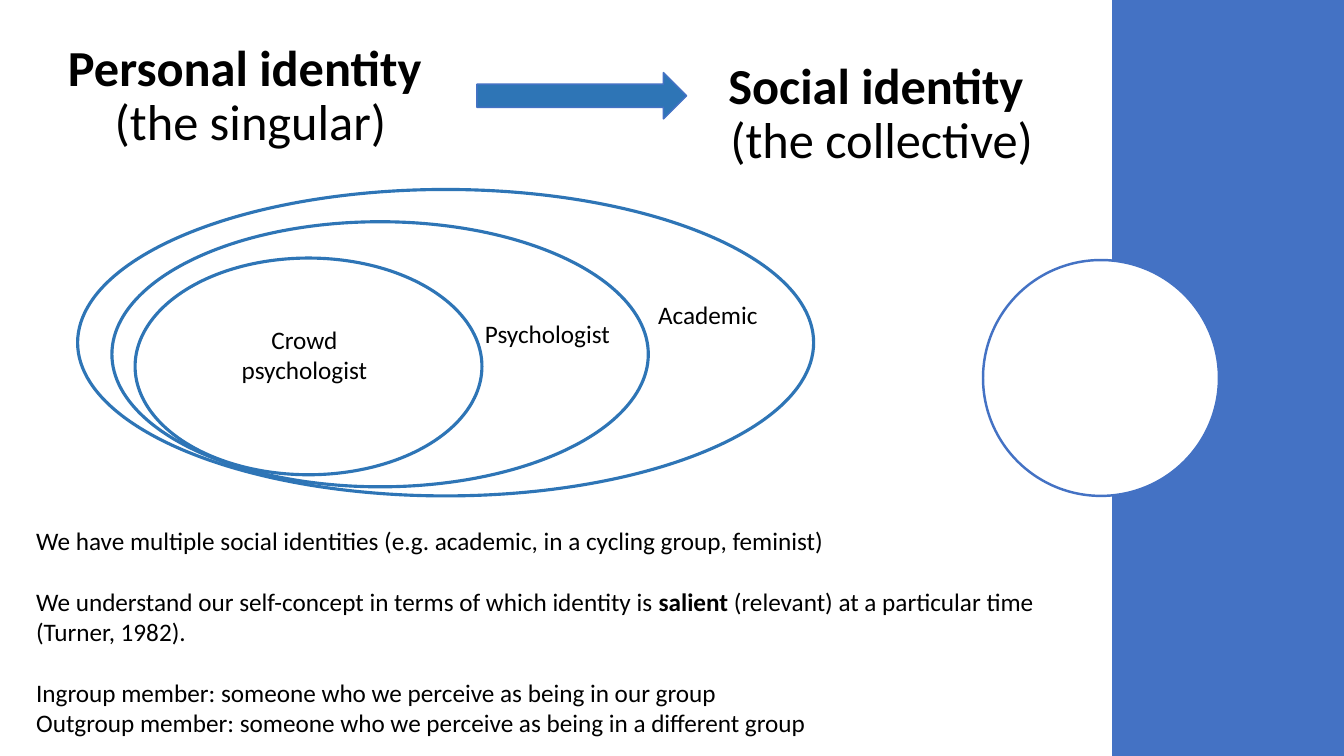
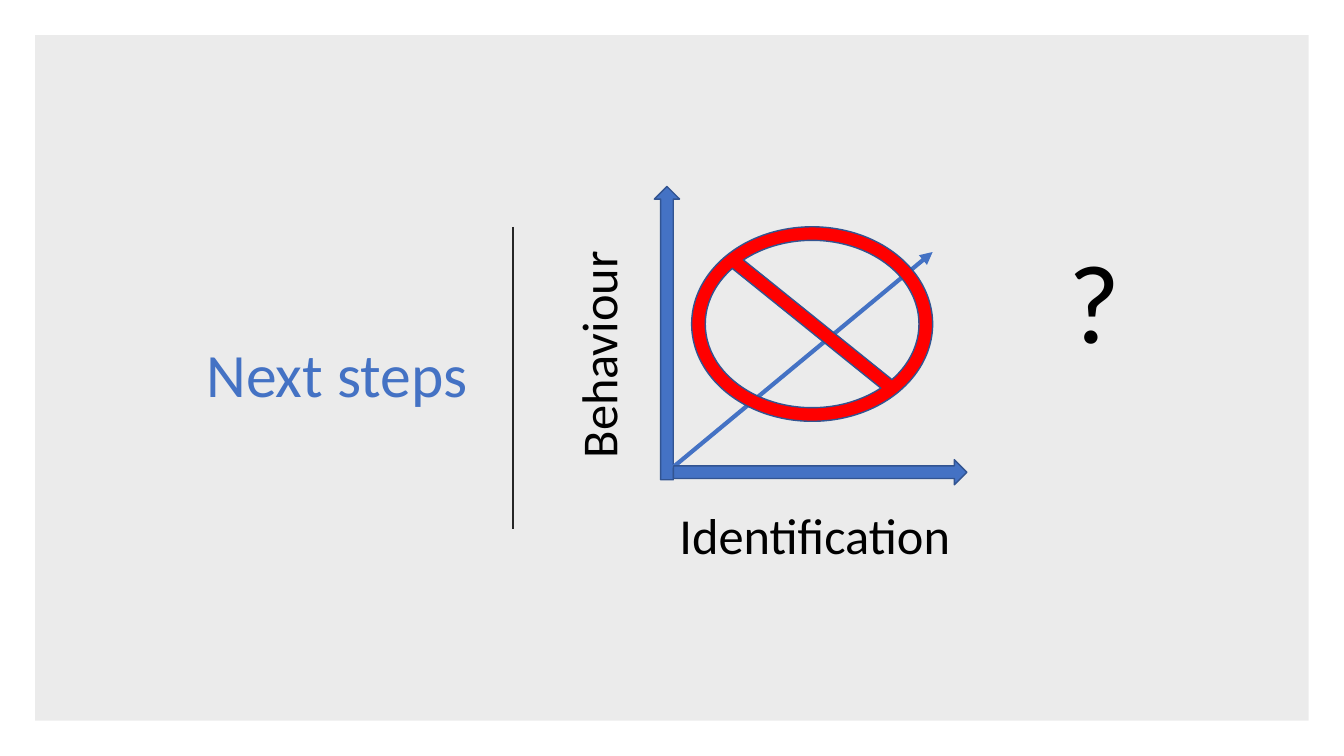
from lxml import etree
from pptx import Presentation
from pptx.dml.color import RGBColor
from pptx.enum.shapes import MSO_CONNECTOR, MSO_SHAPE
from pptx.enum.text import MSO_ANCHOR, MSO_AUTO_SIZE, PP_ALIGN
from pptx.oxml.ns import qn
from pptx.util import Inches, Pt

RECT, OVAL = MSO_SHAPE.RECTANGLE, MSO_SHAPE.OVAL
RIGHT_ARROW, UP_ARROW = MSO_SHAPE.RIGHT_ARROW, MSO_SHAPE.UP_ARROW
NO_SYMBOL = MSO_SHAPE.NO_SYMBOL
STRAIGHT = MSO_CONNECTOR.STRAIGHT
LEFT, CENTER, RIGHT = PP_ALIGN.LEFT, PP_ALIGN.CENTER, PP_ALIGN.RIGHT
TOP, MIDDLE = MSO_ANCHOR.TOP, MSO_ANCHOR.MIDDLE
NO_FIT = MSO_AUTO_SIZE.NONE

FONT = "Calibri"
BLACK, WHITE, RED = "000000", "FFFFFF", "FF0000"
BLUE, DEEP_BLUE, EDGE_BLUE, RULE_GRAY = "4472C4", "2E75B6", "325491", "262626"
SLIDE_W, SLIDE_H = 13.33, 7.5
TITLE_SPACING = 0.9


def rgb(color):
    return RGBColor.from_string(color)


def inches(box):
    return [Inches(v) for v in box]


# Shared building blocks
def add_shape(s, kind, box, fill=None, line=None, width=1, alpha=None):
    sp = s.shapes.add_shape(kind, *inches(box))
    sp.shadow.inherit = False
    if fill:
        sp.fill.solid()
        sp.fill.fore_color.rgb = rgb(fill)
    else:
        sp.fill.background()
    if alpha:
        color = sp.fill._xPr.find(qn("a:solidFill"))[0]
        etree.SubElement(color, qn("a:alpha")).set("val", str(alpha * 1000))
    if line:
        sp.line.color.rgb = rgb(line)
        sp.line.width = Pt(width)
    else:
        sp.line.fill.background()
    return sp


def add_line(s, start, end, color, width, arrow=False):
    line = s.shapes.add_connector(STRAIGHT, *inches(start + end))
    line.line.color.rgb = rgb(color)
    line.line.width = Pt(width)
    if arrow:
        ln = line.line._get_or_add_ln()
        etree.SubElement(ln, qn("a:tailEnd")).set("type", "triangle")
    etree.SubElement(line.element.spPr, qn("a:effectLst"))


def fill_text(tf, paragraphs, size, color=BLACK, align=LEFT, anchor=TOP,
              spacing=None):
    """Each paragraph is a string or a list of (text, bold) runs."""
    tf.word_wrap = True
    tf.auto_size = NO_FIT
    tf.vertical_anchor = anchor
    for i, runs in enumerate(paragraphs):
        p = tf.add_paragraph() if i else tf.paragraphs[0]
        p.alignment = align
        p.line_spacing = spacing
        for text, bold in [(runs, False)] if isinstance(runs, str) else runs:
            r = p.add_run()
            r.text = text
            r.font.name, r.font.size, r.font.bold = FONT, Pt(size), bold
            r.font.color.rgb = rgb(color)


def add_text(s, box, paragraphs, size, **style):
    sp = s.shapes.add_textbox(*inches(box))
    fill_text(sp.text_frame, paragraphs, size, **style)
    return sp


def place_title(s, box, paragraphs, size, **style):
    title = s.shapes.title
    s.shapes.element.append(title.element)  # bring above the backdrop
    title.left, title.top, title.width, title.height = inches(box)
    fill_text(title.text_frame, paragraphs, size, anchor=MIDDLE,
              spacing=TITLE_SPACING, **style)


# Identity slide
def side_band(s, x):
    add_shape(s, RECT, (x, 0, SLIDE_W - x, SLIDE_H), BLUE)
    add_shape(s, OVAL, (x - 1.28, 2.58, 2.34, 2.34), WHITE, BLUE, 1.75)


def identity_headings(s, x, y):
    place_title(s, (x, y, 4.79, 1.45),
                [[("Personal identity ", True)], "(the singular)"],
                36, align=CENTER)
    add_shape(s, RIGHT_ARROW, (x + 4.64, y + 0.48, 2.08, 0.46),
              DEEP_BLUE, BLUE)
    add_text(s, (x + 6.35, y + 0.18, 4.61, 1.45),
             [[("Social identity ", True)], "(the collective)"],
             36, align=CENTER, anchor=MIDDLE, spacing=TITLE_SPACING)


def nested_identities(s, x, y):
    # ellipse dx, dy, w, h; label dx, dy, w, h; label
    rings = [
        ((0, 0, 7.3, 3.04), (5.41, 1.04, 1.68, 0.4), "Academic"),
        ((0.34, 0.32, 5.32, 2.63), (3.82, 1.23, 1.68, 0.4), "Psychologist"),
        ((0.57, 0.68, 3.44, 2.15), (1.3, 1.29, 1.9, 0.71),
         "Crowd psychologist"),
    ]
    for (dx, dy, w, h), (tx, ty, tw, th), label in rings:
        add_shape(s, OVAL, (x + dx, y + dy, w, h), line=DEEP_BLUE, width=2.25)
        add_text(s, (x + tx, y + ty, tw, th), [label], 18, align=CENTER)


def explanation(s, box):
    sp = add_text(s, box, [
        "We have multiple social identities (e.g. academic, in a cycling "
        "group, feminist)",
        [("We understand our self-concept in terms of which identity is",
          False), (" salient ", True),
         ("(relevant) at a particular time (Turner, 1982).", False)],
        "Ingroup member: someone who we perceive as being in our group",
        "Outgroup member: someone who we perceive as being in a different "
        "group",
    ], 18)
    for p in sp.text_frame.paragraphs[1:3]:
        p.space_before = Pt(22)


def identity_slide(prs):
    s = prs.slides.add_slide(prs.slide_layouts[5])
    side_band(s, 11.03)
    explanation(s, (0.26, 5.16, 10.51, 2.23))
    identity_headings(s, 0.09, 0.24)
    nested_identities(s, 0.77, 1.88)


# Next-steps slide
def crossed_out_chart(s, x, y):
    """Axes, trend arrow and prohibition sign; x, y is the axes' top left."""
    thick, length = 0.25, 2.91
    add_shape(s, UP_ARROW, (x, y, thick, length), BLUE, EDGE_BLUE)
    add_text(s, (x + 0.15, y + 3.1, 3.14, 0.71), ["Identification"], 36)
    label = add_text(s, (x - 1.88, y + 1.12, 2.64, 0.71), ["Behaviour"], 36)
    label.rotation = 270
    add_line(s, (x + 0.18, y + 2.79), (x + 2.76, y + 0.65), BLUE, 3, True)
    sign = add_shape(s, NO_SYMBOL, (x + 0.37, y + 0.4, 2.39, 1.93),
                     RED, EDGE_BLUE)
    sign.adjustments[0] = 0.07
    x_axis = add_shape(s, UP_ARROW, (x + 1.52, y + 1.38, thick, length),
                       BLUE, EDGE_BLUE)
    x_axis.rotation = 90


def next_steps_slide(prs):
    s = prs.slides.add_slide(prs.slide_layouts[5])
    margin = 0.35
    add_shape(s, RECT, (margin, margin, SLIDE_W - 2 * margin,
                        SLIDE_H - 2 * margin), BLACK, alpha=8)
    place_title(s, (0.92, 1.05, 3.82, 5.39), ["Next steps"], 44,
                color=BLUE, align=RIGHT)
    add_line(s, (5.09, 2.25), (5.09, 5.25), RULE_GRAY, 1.5)
    crossed_out_chart(s, 6.49, 1.85)
    add_text(s, (10.5, 2.25, 0.98, 1.45), ["?"], 80)


prs = Presentation()
prs.slide_width, prs.slide_height = Inches(SLIDE_W), Inches(SLIDE_H)
identity_slide(prs)
next_steps_slide(prs)
prs.save("out.pptx")
